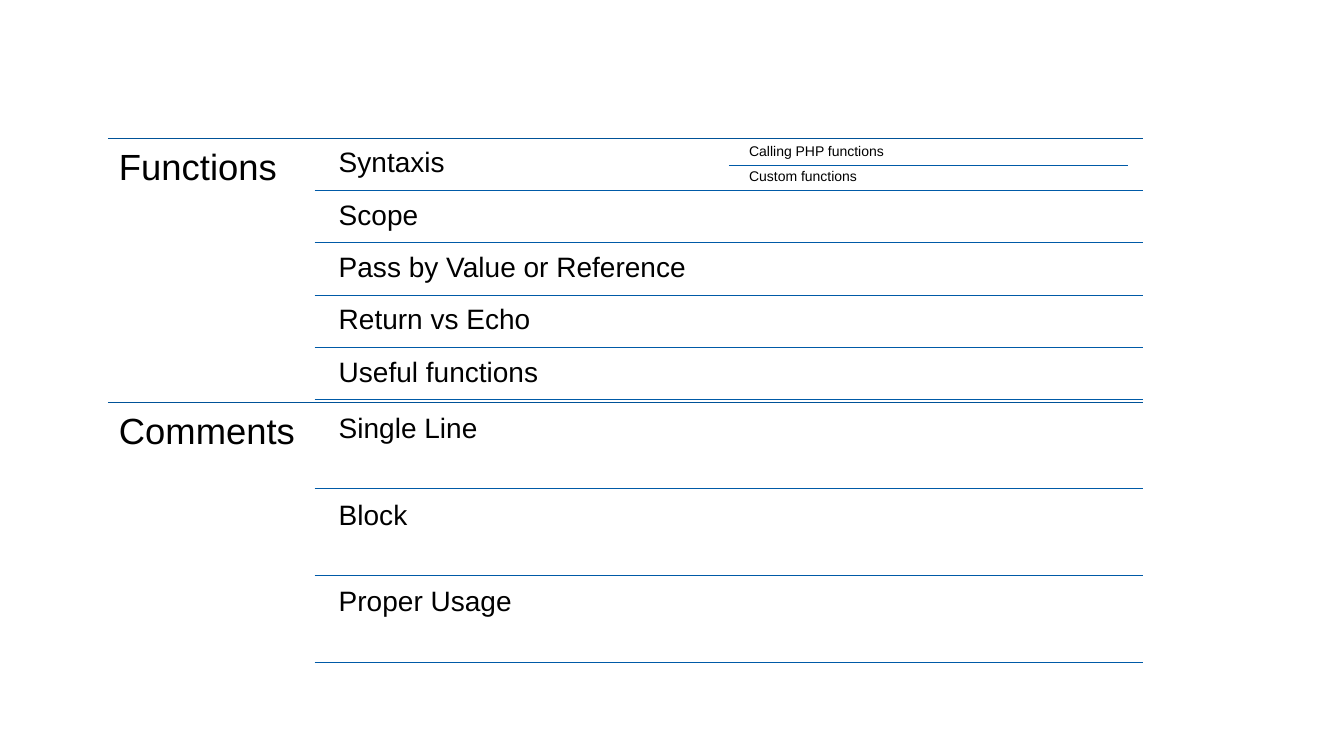
from lxml.etree import SubElement
from pptx import Presentation
from pptx.dml.color import RGBColor
from pptx.enum.shapes import MSO_CONNECTOR
from pptx.enum.text import MSO_ANCHOR, PP_ALIGN
from pptx.oxml.ns import qn
from pptx.util import Inches, Pt

SECTIONS = [
    ("Functions", [
        ("Syntaxis", ["Calling PHP functions", "Custom functions"]),
        ("Scope", []),
        ("Pass by Value or Reference", []),
        ("Return vs Echo", []),
        ("Useful functions", []),
    ]),
    ("Comments", [("Single Line", []), ("Block", []), ("Proper Usage", [])]),
]
SECTION_TOP, SECTION_HEIGHT = 1.37, 2.62
SECTION_LEFT, SECTION_WIDTH = 1.07, 2.05
TOPIC_LINE_LEFT, RIGHT = 3.12, 11.34
TOPIC_LEFT, DETAIL_LEFT, TEXT_WIDTH = 3.28, 7.39, 3.96
DETAIL_LINE_LEFT = 7.23
GAP_RATIO = 0.05  # gap between topics, as a share of the topic height


class OutlineSlide:
    font = "Arial"
    text_color = "000000"
    section_line_color = "005298"
    topic_line_color = "005AA7"

    def __init__(self, presentation):
        self.slide = presentation.slides.add_slide(presentation.slide_layouts[6])

    def color(self, value):
        return RGBColor.from_string(value)

    def line(self, left, right, top, color):
        connector = self.slide.shapes.add_connector(
            MSO_CONNECTOR.STRAIGHT, Inches(left), Inches(top), Inches(right), Inches(top))
        connector.line.color.rgb = self.color(color)
        connector.line.width = Pt(0.5)
        SubElement(connector._element.spPr, qn("a:effectLst"))

    def text(self, words, left, top, width, height, size, inset):
        shape = self.slide.shapes.add_textbox(
            Inches(left), Inches(top), Inches(width), Inches(height))
        frame = shape.text_frame
        frame.word_wrap = True
        frame.vertical_anchor = MSO_ANCHOR.TOP
        frame.margin_left = frame.margin_right = Inches(inset)
        frame.margin_top = frame.margin_bottom = Inches(inset)
        paragraph = frame.paragraphs[0]
        paragraph.alignment = PP_ALIGN.LEFT
        paragraph.line_spacing = 0.9
        run = paragraph.add_run()
        run.text = words
        run.font.name = self.font
        run.font.size = Pt(size)
        run.font.color.rgb = self.color(self.text_color)

    def details(self, names, top, topic_height):
        """Stack the details beside a topic, with a line between neighbours."""
        for index, name in enumerate(names):
            height = topic_height / len(names)
            detail_top = top + index * height
            if index:
                self.line(DETAIL_LINE_LEFT, DETAIL_LINE_LEFT + TEXT_WIDTH,
                          detail_top, self.topic_line_color)
            self.text(name, DETAIL_LEFT, detail_top, TEXT_WIDTH, height, 10, 0.04)

    def section(self, title, topics, top):
        self.line(SECTION_LEFT, RIGHT, top, self.section_line_color)
        self.text(title, SECTION_LEFT, top, SECTION_WIDTH, SECTION_HEIGHT, 26, 0.11)
        count = len(topics)
        height = SECTION_HEIGHT / (count + (count + 1) * GAP_RATIO)
        gap = height * GAP_RATIO
        for index, (topic, details) in enumerate(topics):
            topic_top = top + gap + index * (height + gap)
            self.text(topic, TOPIC_LEFT, topic_top, TEXT_WIDTH, height, 20, 0.08)
            self.details(details, topic_top, height)
            self.line(TOPIC_LINE_LEFT, RIGHT, topic_top + height, self.topic_line_color)


def main():
    presentation = Presentation()
    presentation.slide_width = Inches(13.33)
    presentation.slide_height = Inches(7.5)
    outline = OutlineSlide(presentation)
    for index, (title, topics) in enumerate(SECTIONS):
        outline.section(title, topics, SECTION_TOP + index * SECTION_HEIGHT)
    presentation.save("out.pptx")


if __name__ == "__main__":
    main()
